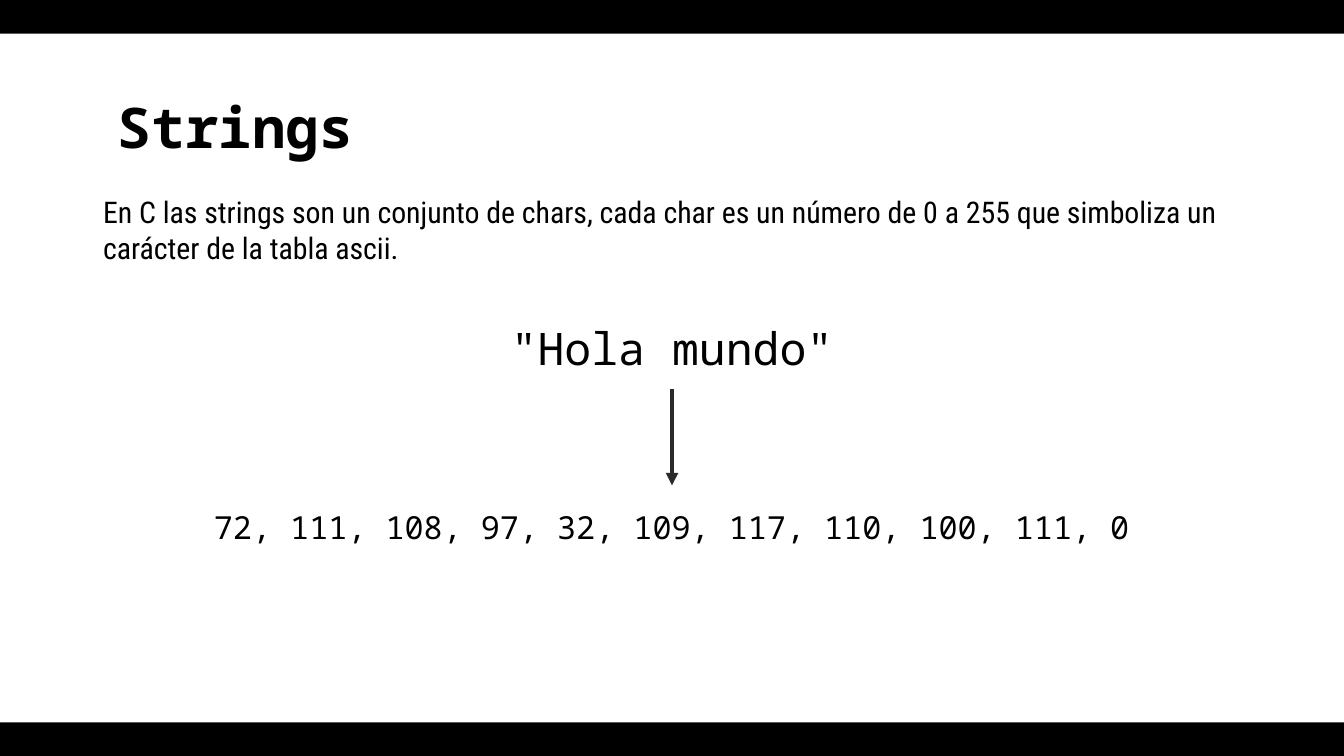
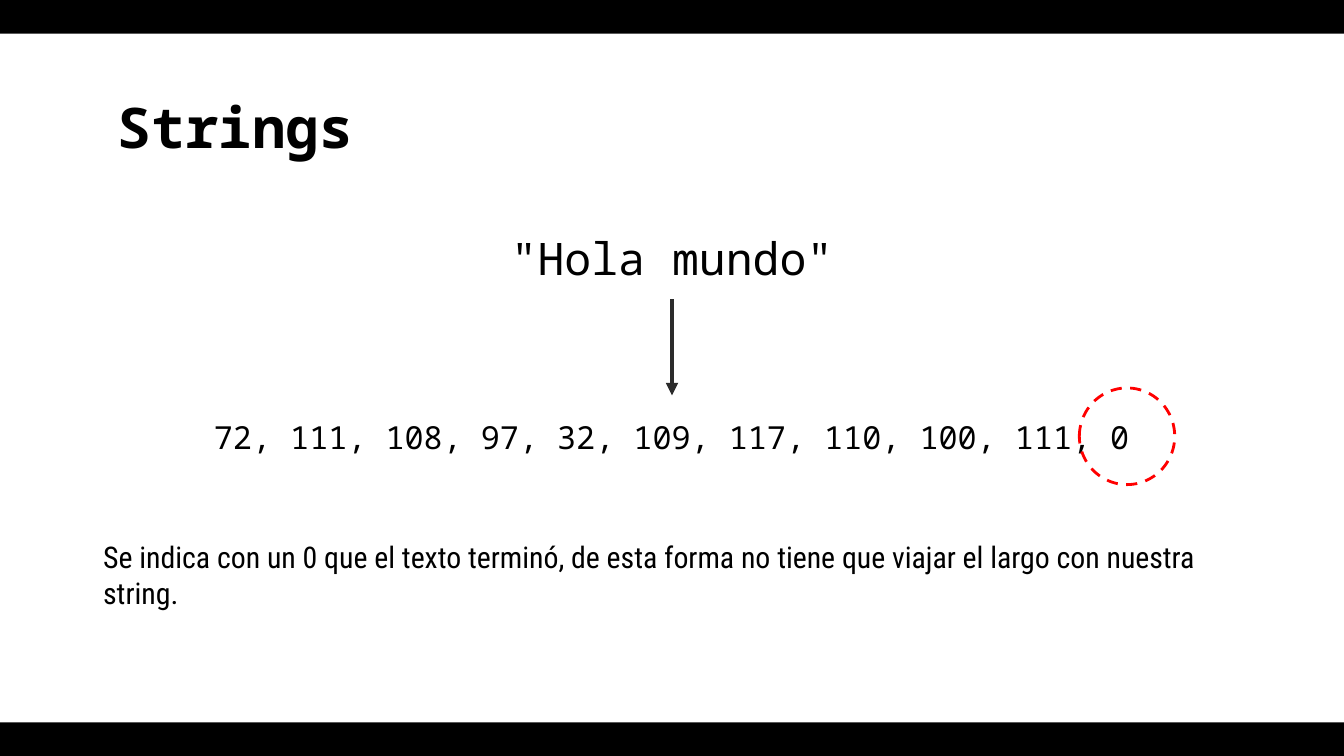
from dataclasses import dataclass

from lxml.etree import SubElement
from pptx import Presentation
from pptx.dml.color import RGBColor
from pptx.enum.dml import MSO_LINE
from pptx.enum.shapes import MSO_CONNECTOR, MSO_SHAPE
from pptx.enum.text import MSO_ANCHOR, PP_ALIGN
from pptx.oxml.ns import qn
from pptx.slide import Slide
from pptx.util import Pt

BLACK = RGBColor(0, 0, 0)
WHITE = RGBColor(255, 255, 255)
GREY = RGBColor(0x2B, 0x2B, 0x2B)
RED = RGBColor(255, 0, 0)

WIDE, HIGH, BAND = 720, 405, 18
MONO, SANS = "Noto Sans Mono", "Roboto Condensed"
ROW = 43.9
GAP = 51.5
FRAME = {
    "word_wrap": True,
    "margin_left": Pt(7.2),
    "margin_right": Pt(7.2),
    "margin_top": Pt(7.2),
    "margin_bottom": Pt(7.2),
}


@dataclass(frozen=True)
class Style:
    font: dict
    wide: float
    high: float
    align: PP_ALIGN = PP_ALIGN.LEFT
    anchor: MSO_ANCHOR = MSO_ANCHOR.TOP
    after: float = 0
    boxed: bool = False


TITLE = Style({"name": MONO, "size": Pt(30), "bold": True}, 607.7, 48.2)
BODY = Style({"name": SANS, "size": Pt(16)}, 623.6, 68.4, after=12)
WORD = Style({"name": MONO, "size": Pt(24)}, 249.1, ROW, PP_ALIGN.CENTER)
CODES = Style({"name": MONO, "size": Pt(17)}, 607.7, ROW, PP_ALIGN.CENTER,
              MSO_ANCHOR.MIDDLE, boxed=True)


@dataclass(frozen=True)
class Page:
    note: str
    note_top: float
    flow_top: float
    ring: bool = False


PAGES = (
    Page("En C las strings son un conjunto de chars, cada char es un número "
         "de 0 a 255 que simboliza un carácter de la tabla ascii.", 96.5, 164.7),
    Page("Se indica con un 0 que el texto terminó, de esta forma no tiene que "
         "viajar el largo con nuestra string.", 281.5, 116.4, True),
)


def apply(target: object, values: dict) -> None:
    for key, value in values.items():
        setattr(target, key, value)


def add_band(slide: Slide, top: float) -> None:
    band = slide.shapes.add_shape(
        MSO_SHAPE.RECTANGLE, 0, Pt(top), Pt(WIDE), Pt(BAND))
    band.shadow.inherit = False
    band.fill.solid()
    band.fill.fore_color.rgb = BLACK
    band.line.fill.background()


def add_text(slide: Slide, text: str, top: float, style: Style) -> None:
    area = (Pt((WIDE - style.wide) / 2), Pt(top), Pt(style.wide), Pt(style.high))
    if style.boxed:
        box = slide.shapes.add_shape(MSO_SHAPE.RECTANGLE, *area)
        box.shadow.inherit = False
        box.fill.solid()
        box.fill.fore_color.rgb = WHITE
        box.line.color.rgb = WHITE
        box.line.width = Pt(0.75)
    else:
        box = slide.shapes.add_textbox(*area)
    frame = box.text_frame
    apply(frame, FRAME | {"vertical_anchor": style.anchor})
    para = frame.paragraphs[0]
    apply(para, {"alignment": style.align, "space_after": Pt(style.after)})
    run = para.add_run()
    run.text = text
    apply(run.font, style.font)
    run.font.color.rgb = BLACK


def add_arrow(slide: Slide, top: float, end: float) -> None:
    mid = Pt(WIDE / 2)
    arrow = slide.shapes.add_connector(
        MSO_CONNECTOR.STRAIGHT, mid, Pt(top), mid, Pt(end))
    arrow.line.color.rgb = GREY
    arrow.line.width = Pt(2.25)
    SubElement(arrow.line._get_or_add_ln(), qn("a:tailEnd"), type="triangle")
    SubElement(arrow._element.spPr, qn("a:effectLst"))


def add_ring(slide: Slide, mid: float) -> None:
    wide, high = 51.1, 51.8
    ring = slide.shapes.add_shape(
        MSO_SHAPE.OVAL, Pt(578.2), Pt(mid - high / 2), Pt(wide), Pt(high))
    ring.shadow.inherit = False
    ring.fill.background()
    ring.line.color.rgb = RED
    apply(ring.line, {"width": Pt(1.5), "dash_style": MSO_LINE.DASH})


def add_flow(slide: Slide, top: float) -> None:
    start = top + ROW
    end = start + GAP
    add_text(slide, '"Hola mundo"', top, WORD)
    add_text(slide, "72, 111, 108, 97, 32, 109, 117, 110, 100, 111, 0", end, CODES)
    add_arrow(slide, start, end)


def add_page(deck: Presentation, page: Page) -> None:
    slide = deck.slides.add_slide(deck.slide_layouts[6])
    for top in (HIGH - BAND, 0):
        add_band(slide, top)
    add_text(slide, "Strings", 42.5, TITLE)
    add_text(slide, page.note, page.note_top, BODY)
    add_flow(slide, page.flow_top)
    if page.ring:
        add_ring(slide, page.flow_top + ROW + GAP + ROW / 2)


def main() -> None:
    deck = Presentation()
    apply(deck, {"slide_width": Pt(WIDE), "slide_height": Pt(HIGH)})
    for page in PAGES:
        add_page(deck, page)
    deck.save("out.pptx")


if __name__ == "__main__":
    main()
